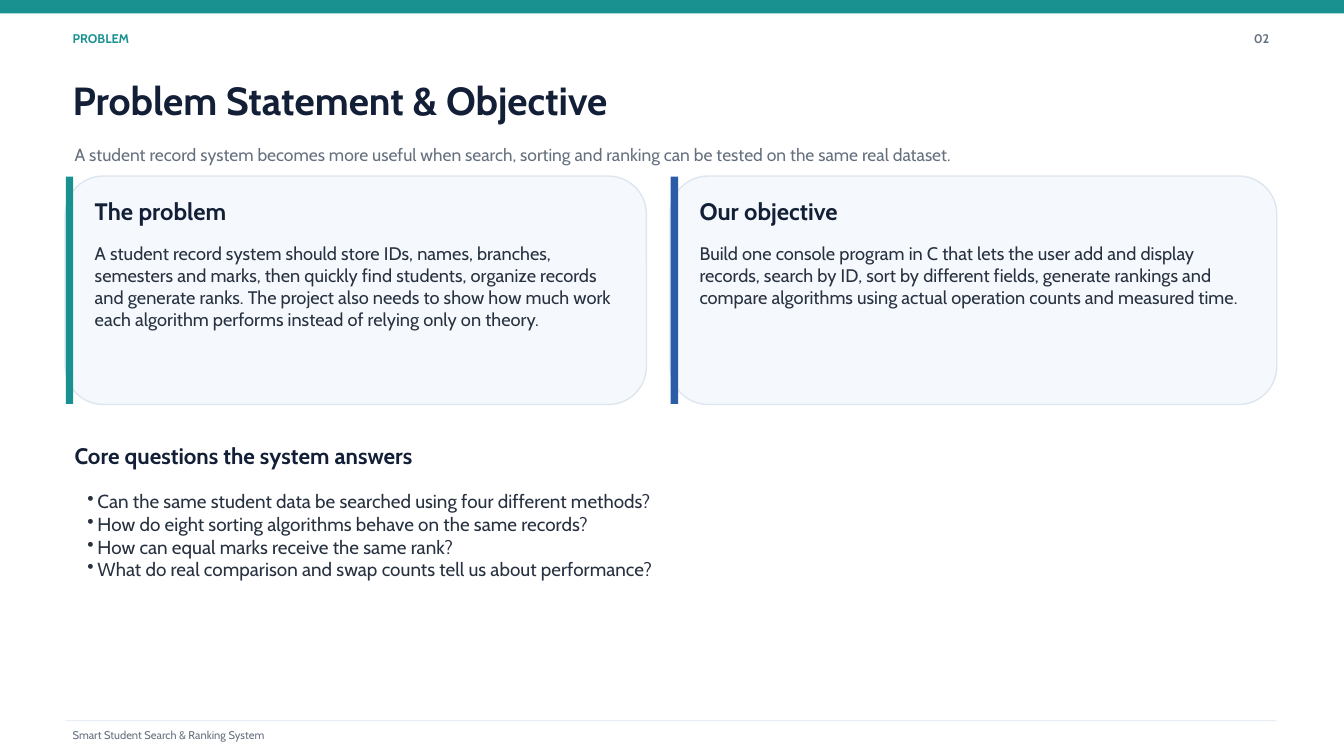
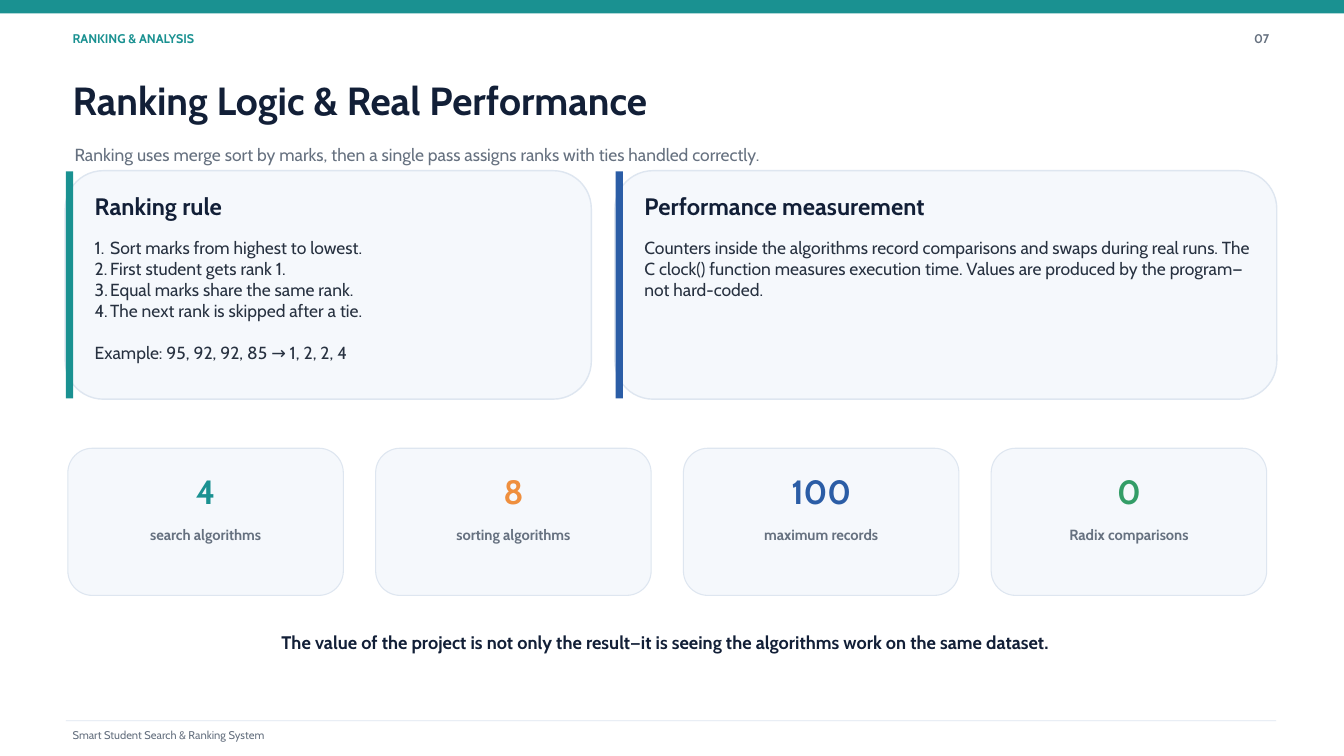
from dataclasses import dataclass
from typing import Optional

from lxml import etree
from pptx import Presentation
from pptx.dml.color import RGBColor
from pptx.enum.shapes import MSO_SHAPE
from pptx.enum.text import MSO_AUTO_SIZE, PP_ALIGN
from pptx.oxml.ns import qn
from pptx.shapes.autoshape import Shape
from pptx.slide import Slide
from pptx.util import Emu, Pt

RECT = MSO_SHAPE.RECTANGLE
ROUND = MSO_SHAPE.ROUNDED_RECTANGLE
LEFT, MID, RIGHT = PP_ALIGN.LEFT, PP_ALIGN.CENTER, PP_ALIGN.RIGHT
FIXED = MSO_AUTO_SIZE.NONE

PX = 9144
FONT = "Cabin"
TEAL, BLUE, GOLD, GREEN = "1A9191", "2B5DA6", "EF8F3E", "339D67"
NAVY, INK, GREY = "121F37", "273140", "667180"
PALE, EDGE = "F5F8FC", "DEE6F0"
FOOT = "Smart Student Search & Ranking System"


@dataclass(frozen=True)
class Box:
    x: int
    y: int
    w: int
    h: int


@dataclass(frozen=True)
class Style:
    size: float
    tint: str
    bold: bool = False
    align: PP_ALIGN = LEFT


@dataclass(frozen=True)
class Line:
    text: str
    mark: str = ""
    hang: int = 0
    gap: float = 0


@dataclass(frozen=True)
class Card:
    x: int
    w: int
    tint: str
    head: str
    body: list[Line]


@dataclass(frozen=True)
class Stat:
    value: str
    label: str
    tint: str


LABEL = Style(13.5, TEAL, True)
PAGE = Style(13.5, GREY, True, RIGHT)
TITLE = Style(42, NAVY, True)
LEAD = Style(18.75, GREY)
HEAD = Style(25.5, NAVY, True)
ASK = Style(24, NAVY, True)
POINT = Style(20.25, INK)
NOTE = Style(15.75, GREY, True, MID)
CLOSE = Style(19.5, NAVY, True, MID)
SMALL = Style(12, GREY)


def hue(code: str) -> RGBColor:
    return RGBColor.from_string(code)


def place(box: Box) -> tuple[Emu, Emu, Emu, Emu]:
    return Emu(box.x * PX), Emu(box.y * PX), Emu(box.w * PX), Emu(box.h * PX)


def draw(slide: Slide, kind: MSO_SHAPE, box: Box, fill: str,
         edge: Optional[float] = None) -> Shape:
    shape = slide.shapes.add_shape(kind, *place(box))
    shape.shadow.inherit = False
    shape.fill.solid()
    shape.fill.fore_color.rgb = hue(fill)
    if edge is None:
        shape.line.fill.background()
    else:
        shape.line.color.rgb = hue(EDGE)
        shape.line.width = Pt(edge)
    return shape


def write(slide: Slide, box: Box, style: Style, lines: list[Line]) -> None:
    frame = slide.shapes.add_textbox(*place(box)).text_frame
    frame.word_wrap = True
    frame.auto_size = FIXED
    frame.margin_left = frame.margin_right = 0
    frame.margin_top = frame.margin_bottom = 0
    for i, line in enumerate(lines):
        para = frame.add_paragraph() if i else frame.paragraphs[0]
        para.alignment = style.align
        para.line_spacing = Pt(style.size * 1.2)
        if line.gap:
            para.space_before = Pt(line.gap)
        if line.mark:
            props = para._p.get_or_add_pPr()
            props.set("marL", str(line.hang * PX))
            props.set("indent", str(-line.hang * PX))
            if line.mark == "1.":
                etree.SubElement(props, qn("a:buAutoNum"), type="arabicPeriod")
            else:
                etree.SubElement(props, qn("a:buChar"), char=line.mark)
        run = para.add_run()
        run.text = line.text
        run.font.name = FONT
        run.font.size = Pt(style.size)
        run.font.bold = style.bold
        run.font.color.rgb = hue(style.tint)


def say(slide: Slide, box: Box, style: Style, text: str) -> None:
    write(slide, box, style, [Line(text)])


def start(deck: Presentation, label: str, page: str, title: str,
          lead: str) -> Slide:
    slide = deck.slides.add_slide(deck.slide_layouts[6])
    slide.background.fill.solid()
    slide.background.fill.fore_color.rgb = hue("FFFFFF")
    draw(slide, RECT, Box(0, 0, 2000, 20), TEAL)
    say(slide, Box(108, 46, 671, 36), LABEL, label)
    say(slide, Box(1826, 46, 63, 36), PAGE, page)
    say(slide, Box(108, 113, 1781, 103), TITLE, title)
    say(slide, Box(111, 215, 1736, 62), LEAD, lead)
    draw(slide, RECT, Box(98, 1072, 1801, 1), EDGE)
    say(slide, Box(108, 1084, 1181, 20), SMALL, FOOT)
    return slide


def panel(slide: Slide, top: int, size: float, card: Card) -> None:
    left, wide = card.x + 44, card.w - 79
    draw(slide, ROUND, Box(card.x, top, card.w, 340), PALE, 1.5)
    draw(slide, RECT, Box(card.x + 1, top + 1, 11, 338), card.tint)
    say(slide, Box(left, top + 31, wide, 43), HEAD, card.head)
    write(slide, Box(left, top + 99, wide, 211), Style(size, INK), card.body)


def tile(slide: Slide, x: int, stat: Stat) -> None:
    draw(slide, ROUND, Box(x, 667, 410, 219), PALE, 1.13)
    say(slide, Box(x + 11, 700, 388, 65),
        Style(36, stat.tint, True, MID), stat.value)
    say(slide, Box(x + 26, 783, 358, 35), NOTE, stat.label)


GOALS = [
    Card(97, 865, TEAL, "The problem", [Line(
        "A student record system should store IDs, names, branches, "
        "semesters and marks, then quickly find students, organize records "
        "and generate ranks. The project also needs to show how much work "
        "each algorithm performs instead of relying only on theory.")]),
    Card(997, 903, BLUE, "Our objective", [Line(
        "Build one console program in C that lets the user add and display "
        "records, search by ID, sort by different fields, generate rankings "
        "and compare algorithms using actual operation counts and measured "
        "time.")]),
]
ASKS = [
    "Can the same student data be searched using four different methods?",
    "How do eight sorting algorithms behave on the same records?",
    "How can equal marks receive the same rank?",
    "What do real comparison and swap counts tell us about performance?",
]
STEPS = [
    "Sort marks from highest to lowest.",
    "First student gets rank 1.",
    "Equal marks share the same rank.",
    "The next rank is skipped after a tie.",
]
RULES = [
    Card(97, 783, TEAL, "Ranking rule",
         [Line(step, "1.", 23) for step in STEPS]
         + [Line("Example: 95, 92, 92, 85 → 1, 2, 2, 4", gap=22.5)]),
    Card(915, 985, BLUE, "Performance measurement", [Line(
        "Counters inside the algorithms record comparisons and swaps during "
        "real runs. The C clock() function measures execution time. Values "
        "are produced by the program—not hard-coded.")]),
]
STATS = [
    Stat("4", "search algorithms", TEAL),
    Stat("8", "sorting algorithms", GOLD),
    Stat("100", "maximum records", BLUE),
    Stat("0", "Radix comparisons", GREEN),
]


def goal_slide(deck: Presentation) -> None:
    slide = start(deck, "PROBLEM", "02", "Problem Statement & Objective",
                  "A student record system becomes more useful when search, "
                  "sorting and ranking can be tested on the same real dataset.")
    for card in GOALS:
        panel(slide, 262, 19.5, card)
    say(slide, Box(111, 658, 806, 50), ASK, "Core questions the system answers")
    write(slide, Box(130, 729, 1736, 238), POINT,
          [Line(ask, "•", 15) for ask in ASKS])


def rank_slide(deck: Presentation) -> None:
    slide = start(deck, "RANKING & ANALYSIS", "07",
                  "Ranking Logic & Real Performance",
                  "Ranking uses merge sort by marks, then a single pass "
                  "assigns ranks with ties handled correctly.")
    for card in RULES:
        panel(slide, 254, 18.75, card)
    for i, stat in enumerate(STATS):
        tile(slide, 101 + i * 458, stat)
    say(slide, Box(130, 939, 1721, 58), CLOSE,
        "The value of the project is not only the result—it is seeing the "
        "algorithms work on the same dataset.")


def main() -> None:
    deck = Presentation()
    deck.slide_width, deck.slide_height = Emu(2000 * PX), Emu(1125 * PX)
    goal_slide(deck)
    rank_slide(deck)
    deck.save("out.pptx")


if __name__ == "__main__":
    main()
